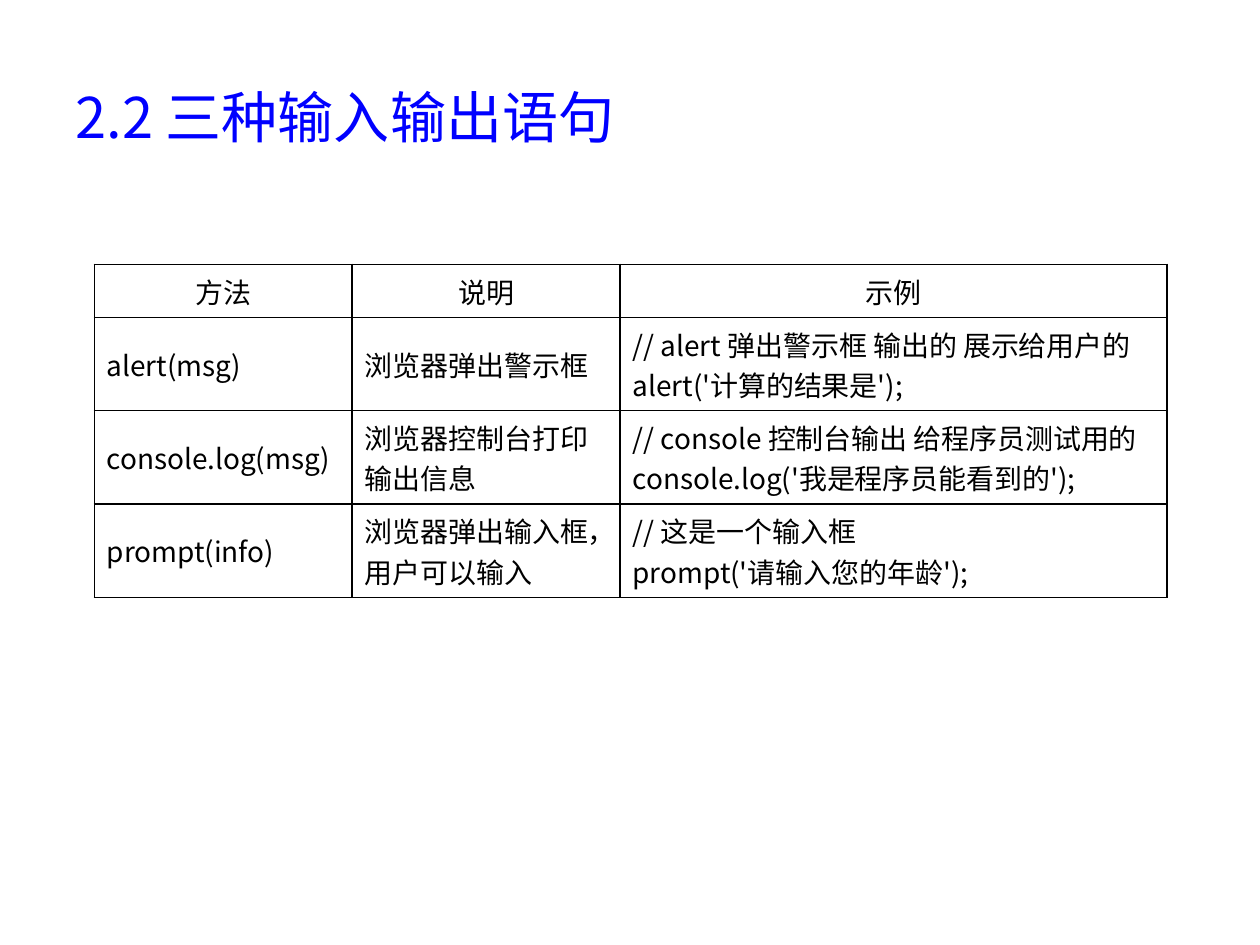
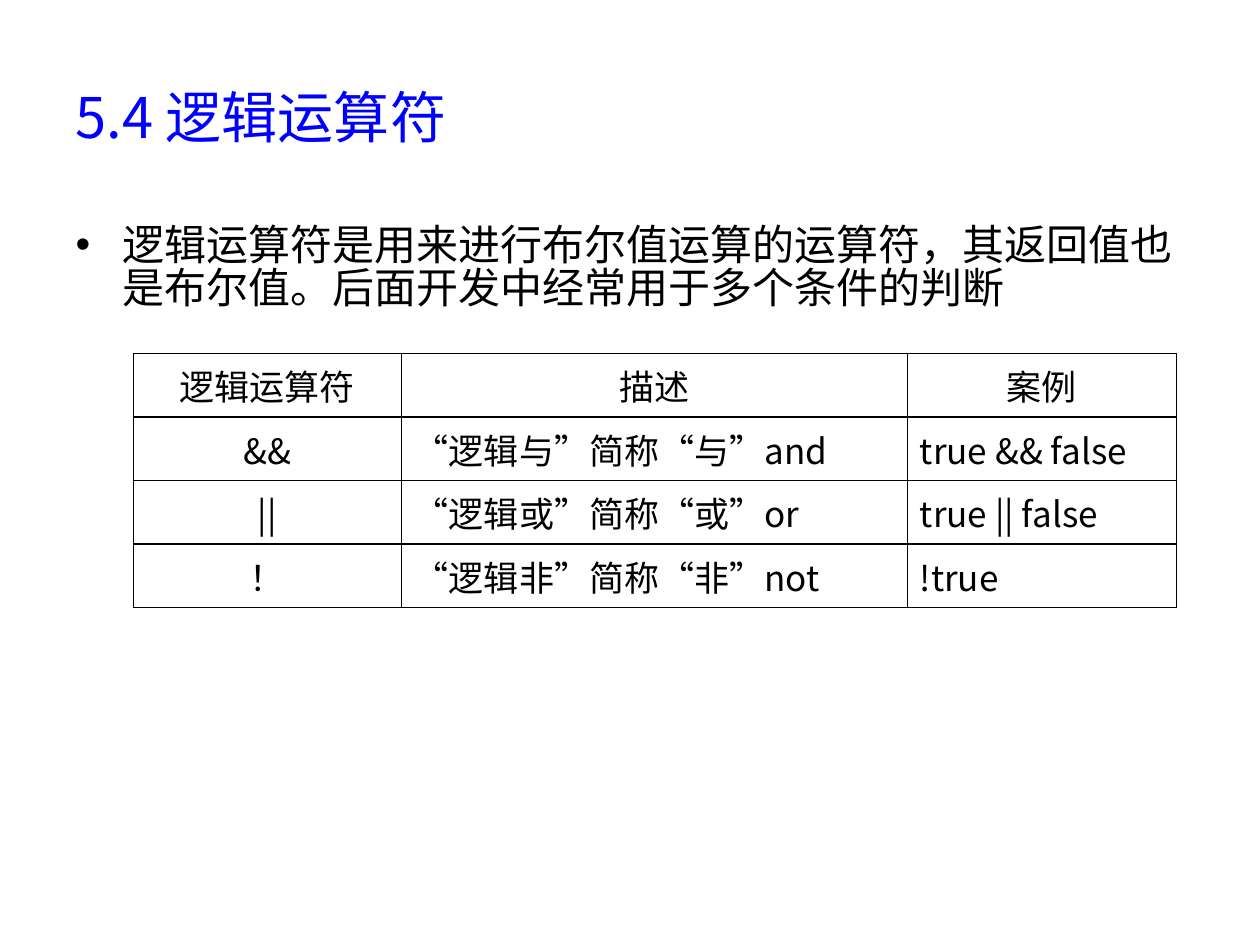
import dataclasses
import typing

import lxml.etree
import pptx
import pptx.dml.color
import pptx.enum.text
import pptx.oxml.ns
import pptx.slide
import pptx.table
import pptx.text.text
import pptx.util

Cm = pptx.util.Cm
Pt = pptx.util.Pt
RGBColor = pptx.dml.color.RGBColor
Align = pptx.enum.text.PP_ALIGN
Anchor = pptx.enum.text.MSO_ANCHOR
qn = pptx.oxml.ns.qn

BLUE = RGBColor(0x00, 0x00, 0xFF)
BLACK = RGBColor(0x00, 0x00, 0x00)
WHITE = RGBColor(0xFF, 0xFF, 0xFF)
FONT = "Noto Sans CJK SC"
TITLE_AND_BODY = 1
TITLE_ONLY = 5
HEADER_HEIGHT = Cm(0.41)
ROW_HEIGHT = Cm(1.04)
BORDER_WIDTH = Pt(1)


@dataclasses.dataclass(frozen=True)
class TableSpec:
    left: float
    top: float
    height: float
    column_widths: tuple[float, ...]
    font_size: int
    rows: tuple[tuple[str, ...], ...]
    centred_columns: tuple[int, ...] = ()


@dataclasses.dataclass(frozen=True)
class SlideSpec:
    title: str
    table: TableSpec
    body: typing.Optional[str] = None


SLIDES = (
    SlideSpec(
        title="2.2 三种输入输出语句",
        table=TableSpec(
            left=1.9,
            top=5.33,
            height=5.77,
            column_widths=(5.2, 5.4, 11.03),
            font_size=16,
            rows=(
                ("方法", "说明", "示例"),
                ("alert(msg)", "浏览器弹出警示框",
                 "// alert 弹出警示框 输出的 展示给用户的\nalert('计算的结果是');"),
                ("console.log(msg)", "浏览器控制台打印输出信息",
                 "// console 控制台输出 给程序员测试用的\nconsole.log('我是程序员能看到的');"),
                ("prompt(info)", "浏览器弹出输入框，用户可以输入",
                 "// 这是一个输入框\nprompt('请输入您的年龄');"),
            ),
        ),
    ),
    SlideSpec(
        title="5.4 逻辑运算符",
        body="逻辑运算符是用来进行布尔值运算的运算符，其返回值也是布尔值。"
             "后面开发中经常用于多个条件的判断",
        table=TableSpec(
            left=2.69,
            top=7.13,
            height=4.39,
            column_widths=(5.4, 10.2, 5.43),
            font_size=20,
            rows=(
                ("逻辑运算符", "描述", "案例"),
                ("&&", "“逻辑与”简称“与”and", "true && false"),
                ("||", "“逻辑或”简称“或”or", "true || false"),
                ("！", "“逻辑非”简称“非”not", "!true"),
            ),
            centred_columns=(0,),
        ),
    ),
)


def add_run(paragraph: pptx.text.text._Paragraph, text: str, size: int,
            color: RGBColor) -> None:
    run = paragraph.add_run()
    run.text = text
    run.font.size = Pt(size)
    run.font.color.rgb = color
    run.font.name = FONT
    east_asian = lxml.etree.SubElement(run.font._element, qn("a:ea"))
    east_asian.set("typeface", FONT)


def add_title(slide: pptx.slide.Slide, text: str) -> None:
    title = slide.shapes.title
    title.left, title.top, title.width, title.height = Cm(1.27), Cm(0.76), Cm(22.86), Cm(3.18)
    title.text_frame.auto_size = pptx.enum.text.MSO_AUTO_SIZE.NONE
    title.text_frame.vertical_anchor = Anchor.MIDDLE
    paragraph = title.text_frame.paragraphs[0]
    paragraph.alignment = Align.LEFT
    add_run(paragraph, text, 32, BLUE)


def add_body(slide: pptx.slide.Slide, text: str) -> None:
    body = slide.placeholders[1]
    body.left, body.top, body.width, body.height = Cm(1.27), Cm(4.45), Cm(22.86), Cm(12.57)
    body.text_frame.auto_size = pptx.enum.text.MSO_AUTO_SIZE.NONE
    paragraph = body.text_frame.paragraphs[0]
    paragraph.line_spacing = 0.84
    add_run(paragraph, text, 24, BLACK)


def add_borders(cell: pptx.table._Cell) -> None:
    properties = cell._tc.get_or_add_tcPr()
    for position, side in enumerate(("a:lnL", "a:lnR", "a:lnT", "a:lnB")):
        line = lxml.etree.Element(qn(side), w=str(BORDER_WIDTH))
        fill = lxml.etree.SubElement(line, qn("a:solidFill"))
        lxml.etree.SubElement(fill, qn("a:srgbClr"), val=str(BLACK))
        properties.insert(position, line)


def fill_cell(cell: pptx.table._Cell, text: str, size: int, header: bool,
              centred: bool) -> None:
    cell.vertical_anchor = Anchor.MIDDLE
    if header:
        cell.fill.background()
    else:
        cell.fill.solid()
        cell.fill.fore_color.rgb = WHITE
    add_borders(cell)
    for index, line in enumerate(text.split("\n")):
        frame = cell.text_frame
        paragraph = frame.add_paragraph() if index else frame.paragraphs[0]
        paragraph.alignment = Align.CENTER if centred else Align.LEFT
        add_run(paragraph, line, size, BLACK)


def add_table(slide: pptx.slide.Slide, spec: TableSpec) -> None:
    frame = slide.shapes.add_table(
        len(spec.rows), len(spec.column_widths), Cm(spec.left), Cm(spec.top),
        Cm(sum(spec.column_widths)), Cm(spec.height))
    table = frame.table
    table.first_row = False
    table.horz_banding = False
    for column, width in zip(table.columns, spec.column_widths):
        column.width = Cm(width)
    for row_index, texts in enumerate(spec.rows):
        header = row_index == 0
        table.rows[row_index].height = HEADER_HEIGHT if header else ROW_HEIGHT
        for column_index, text in enumerate(texts):
            centred = header or column_index in spec.centred_columns
            fill_cell(table.cell(row_index, column_index), text,
                      spec.font_size, header, centred)
    frame.height = Cm(spec.height)


def add_slide(presentation: typing.Any, spec: SlideSpec) -> None:
    layout = TITLE_AND_BODY if spec.body else TITLE_ONLY
    slide = presentation.slides.add_slide(presentation.slide_layouts[layout])
    add_title(slide, spec.title)
    if spec.body:
        add_body(slide, spec.body)
    add_table(slide, spec.table)


def main() -> None:
    presentation = pptx.Presentation()
    presentation.slide_width = Cm(25.4)
    presentation.slide_height = Cm(19.05)
    for spec in SLIDES:
        add_slide(presentation, spec)
    presentation.save("out.pptx")


main()
